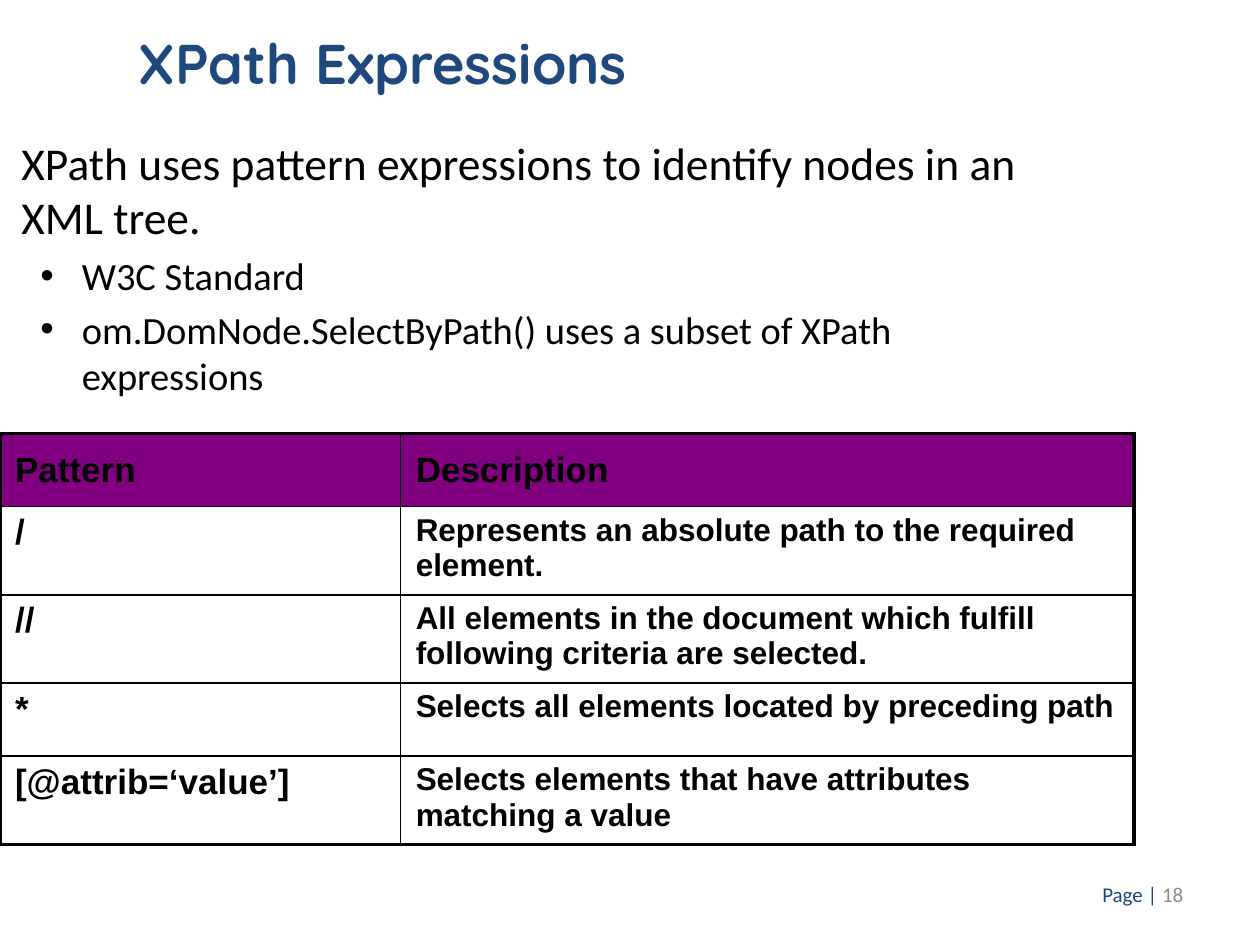
import pptx
import pptx.util
import pptx.dml.color
import pptx.enum.text
from lxml import etree

Inches = pptx.util.Inches
Pt = pptx.util.Pt
ANCHOR = pptx.enum.text.MSO_ANCHOR
ALIGN = pptx.enum.text.PP_ALIGN
COLORS = {"ink": "000000", "navy": "1F497D", "gray": "8C8C8C",
          "header": "800080", "paper": "FFFFFF"}
ROWS = [
    ("Pattern", "Description"),
    ("/", "Represents an absolute path to the required element."),
    ("//", "All elements in the document which fulfill following criteria are selected."),
    ("*", "Selects all elements located by preceding path"),
    ("[@attrib=‘value’]", "Selects elements that have attributes matching a value"),
]


def color(name):
    return pptx.dml.color.RGBColor.from_string(COLORS[name])


def set_all(target, values):
    for name, value in values.items():
        setattr(target, name, value)


def add_span(para, text, size, font, tint, bold=False):
    span = para.add_run()
    span.text = text
    set_all(span.font, {"size": Pt(size), "name": font, "bold": bold})
    span.font.color.rgb = color(tint)


def add_child(parent, tag, position=None, **attributes):
    child = etree.Element(pptx.oxml.ns.qn(tag), attributes)
    parent.insert(len(parent) if position is None else position, child)
    return child


def place_title(page, text):
    title = page.shapes.title
    set_all(title, {"left": Inches(1), "top": Inches(0.18),
                    "width": Inches(8.18), "height": Inches(0.9)})
    set_all(title.text_frame, {"vertical_anchor": ANCHOR.TOP, "word_wrap": True})
    para = title.text_frame.paragraphs[0]
    para.alignment = ALIGN.LEFT
    add_span(para, text, 32, "Quicksand", "navy", True)


def add_text_box(page, place, inset, anchor):
    frame = page.shapes.add_textbox(*map(Inches, place)).text_frame
    set_all(frame, {"word_wrap": True, "vertical_anchor": anchor,
                    "margin_left": Inches(inset[0]), "margin_right": Inches(inset[0]),
                    "margin_top": Inches(inset[1]), "margin_bottom": Inches(inset[1])})
    return frame


def add_body(page, lead, bullets):
    frame = add_text_box(page, (0, 0.99, 8.67, 2.42), (0.17, 0.08), ANCHOR.TOP)
    para = frame.paragraphs[0]
    para.space_before = Pt(5.2)
    add_span(para, lead, 26, "Calibri", "ink")
    for text in bullets:
        para = frame.add_paragraph()
        para.space_before = Pt(4.4)
        add_span(para, text, 22, "Calibri", "ink")
        properties = para._p.get_or_add_pPr()
        properties.set("marL", str(Inches(0.48)))
        properties.set("indent", str(Inches(-0.33)))
        add_child(properties, "a:buFont", typeface="Arial")
        add_child(properties, "a:buChar", char="•")


def set_borders(cell, widths):
    properties = cell._tc.get_or_add_tcPr()
    for position, (side, width) in enumerate(widths.items()):
        line = add_child(properties, "a:ln" + side, position, w=str(Pt(width)))
        add_child(add_child(line, "a:solidFill"), "a:srgbClr", val=COLORS["ink"])


def fill_cell(cell, text, size, fill, anchor):
    set_all(cell, {"margin_left": Inches(0.12), "margin_right": Inches(0.12),
                   "margin_top": Inches(0.05), "margin_bottom": Inches(0.05),
                   "vertical_anchor": anchor})
    cell.fill.solid()
    cell.fill.fore_color.rgb = color(fill)
    add_span(cell.text_frame.paragraphs[0], text, size, "Arial", "ink", True)


def add_pattern_table(page):
    last = len(ROWS) - 1
    table = page.shapes.add_table(len(ROWS), 2, Inches(0), Inches(3.44),
                                  Inches(9), Inches(0.58 * len(ROWS))).table
    set_all(table, {"first_row": False, "horz_banding": False})
    for column, width in zip(table.columns, (3.18, 5.82)):
        column.width = Inches(width)
    for r, texts in enumerate(ROWS):
        header = r == 0
        for c, text in enumerate(texts):
            cell = table.cell(r, c)
            fill_cell(cell, text, 20 if header or c == 0 else 18,
                      "header" if header else "paper",
                      ANCHOR.MIDDLE if header else ANCHOR.TOP)
            outer = {"L": c == 0, "R": c == 1, "T": header, "B": r == last}
            set_borders(cell, {side: 2.25 if edge else 1 for side, edge in outer.items()})


def add_page_number(page, number):
    frame = add_text_box(page, (7.16, 6.9, 2.33, 0.4), (0.1, 0.05), ANCHOR.MIDDLE)
    para = frame.paragraphs[0]
    para.alignment = ALIGN.RIGHT
    add_span(para, "Page | ", 12, "Calibri", "navy")
    add_span(para, number, 12, "Calibri", "gray")


def main():
    deck = pptx.Presentation()
    set_all(deck, {"slide_width": Inches(10), "slide_height": Inches(7.5)})
    page = deck.slides.add_slide(deck.slide_layouts[5])
    place_title(page, "XPath Expressions")
    add_page_number(page, "18")
    add_pattern_table(page)
    add_body(page, "XPath uses pattern expressions to identify nodes in an XML tree.",
             ["W3C Standard",
              "om.DomNode.SelectByPath() uses a subset of XPath expressions"])
    deck.save("out.pptx")


main()
